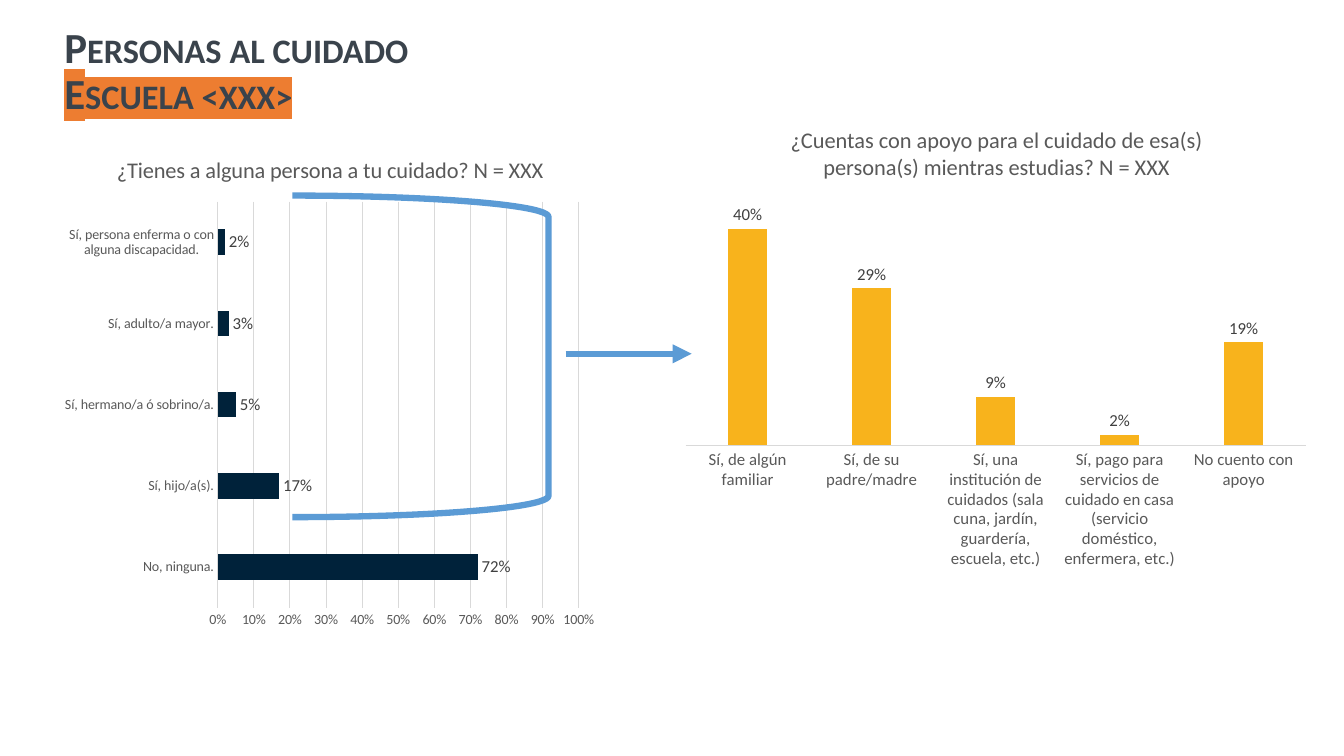
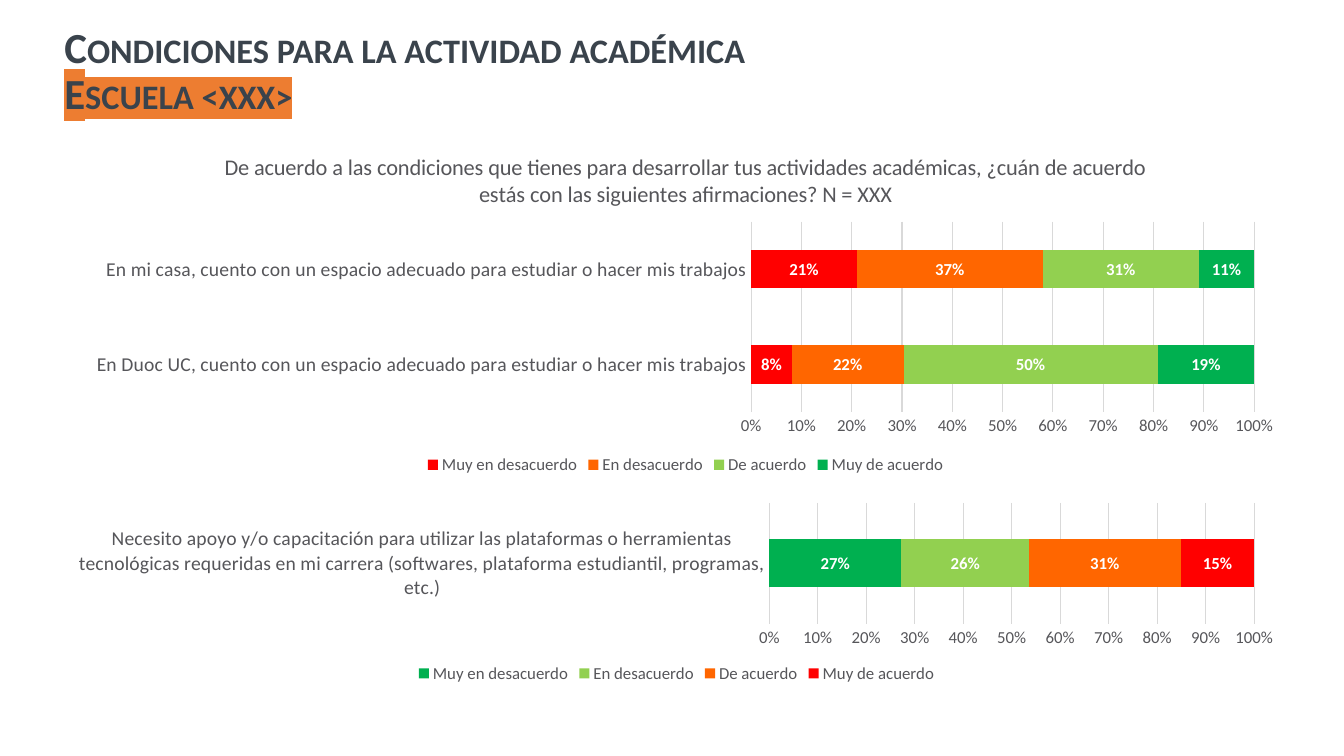
from lxml.etree import SubElement
from pptx import Presentation
from pptx.chart.data import CategoryChartData
from pptx.dml.color import RGBColor
from pptx.enum.chart import XL_CHART_TYPE as ChartType, XL_LABEL_POSITION as LabelPos
from pptx.enum.chart import XL_LEGEND_POSITION as LegendPos, XL_TICK_MARK as TickMark
from pptx.enum.shapes import MSO_CONNECTOR as Connector, MSO_SHAPE as Preset
from pptx.enum.text import MSO_ANCHOR as Anchor, PP_ALIGN as Align
from pptx.oxml.ns import qn
from pptx.util import Inches, Pt

FONT = "Calibri"
INK, GREY, SLATE, LABEL = "3A434C", "595959", "56565A", "404040"
GRID, BLUE, HIGHLIGHT, WHITE = "D9D9D9", "5B9BD5", "ED7D31", "FFFFFF"
NAVY, YELLOW = "00223A", "F8B31C"
RED, ORANGE, LIME, GREEN = "FF0000", "FF6600", "92D050", "00B050"

SCHOOL = "Escuela <xxx>"
SUPPORT_QUESTION = "¿Cuentas con apoyo para el cuidado de esa(s) persona(s) mientras estudias? N = XXX"
AGREEMENT = ["Muy en desacuerdo", "En desacuerdo", "De acuerdo", "Muy de acuerdo"]

SUPPORT = dict(
    kind=ChartType.COLUMN_CLUSTERED, at=(6.67, 1.94, 6.42, 3.79), plot=(6.8, 2, 6.15, 2.42),
    categories=["Sí, de algún familiar", "Sí, de su padre/madre",
                "Sí, una institución de cuidados (sala cuna, jardín, guardería, escuela, etc.)",
                "Sí, pago para servicios de cuidado en casa (servicio doméstico, enfermera, etc.)",
                "No cuento con apoyo"],
    series=[("Series 1", [0.4, 0.29, 0.09, 0.02, 0.19], YELLOW)],
    gap=219, overlap=-27, maximum=0.45, value_axis=False, category_size=12)
CARE = dict(
    kind=ChartType.BAR_CLUSTERED, at=(0.54, 1.34, 5.47, 4.98), plot=(2.16, 2, 3.58, 4.03),
    title="¿Tienes a alguna persona a tu cuidado? N = XXX",
    categories=["No, ninguna.", "Sí, hijo/a(s).", "Sí, hermano/a ó sobrino/a.",
                "Sí, adulto/a mayor.", "Sí, persona enferma o con alguna discapacidad."],
    series=[("Series 1", [0.72, 0.17, 0.05, 0.03, 0.02], NAVY)],
    gap=219, category_size=10, value_size=10)
STACKED = dict(kind=ChartType.BAR_STACKED_100, gap=150, overlap=100, category_size=14,
               color=SLATE, label_color=WHITE, label_bold=True, label_pos=LabelPos.CENTER, legend=True)
SPACE = dict(
    STACKED, at=(0.72, 1.34, 12.16, 3.41), plot=(7.45, 2.2, 4.99, 1.89),
    title="De acuerdo a las condiciones que tienes para desarrollar tus actividades académicas, "
          "¿cuán de acuerdo estás con las siguientes afirmaciones? N = XXX",
    categories=["En Duoc UC, cuento con un espacio adecuado para estudiar o hacer mis trabajos",
                "En mi casa, cuento con un espacio adecuado para estudiar o hacer mis trabajos"],
    series=list(zip(AGREEMENT, [[0.08, 0.21], [0.22, 0.37], [0.5, 0.31], [0.19, 0.11]],
                    [RED, ORANGE, LIME, GREEN])))
TRAINING = dict(
    STACKED, at=(0.54, 4.96, 12.34, 1.86), plot=(7.63, 4.99, 4.81, 1.2),
    categories=["Necesito apoyo y/o capacitación para utilizar las plataformas o herramientas tecnológicas "
                "requeridas en mi carrera (softwares, plataforma estudiantil, programas, etc.)"],
    series=list(zip(AGREEMENT, [[0.27], [0.26], [0.31], [0.15]], [GREEN, LIME, ORANGE, RED])))


def rgb(value):
    return RGBColor.from_string(value)


def inches(values):
    return [Inches(value) for value in values]


def style_font(font, size, color, bold=False):
    font.size, font.bold = Pt(size), bold
    font.color.rgb = rgb(color)
    font.name = FONT


def style_line(line, color, width):
    line.color.rgb = rgb(color)
    line.width = Pt(width)


def add_text(page, at):
    box = page.shapes.add_textbox(*inches(at))
    box.text_frame.word_wrap = True
    return box.text_frame


def add_title(page, heading):
    frame = add_text(page, (0.54, 0.25, 12.73, 0.94))
    frame.vertical_anchor = Anchor.MIDDLE
    para = frame.paragraphs[0]
    para.line_spacing = 0.9
    for text in (heading, SCHOOL):
        if text == SCHOOL:
            para.add_line_break()
        span = para.add_run()
        span.text = text
        style_font(span.font, 30.6, INK, True)
        props = span.font.color and span._r.get_or_add_rPr()
        props.set("cap", "small")
        if text == SCHOOL:
            mark = SubElement(props, qn("a:highlight"))
            SubElement(mark, qn("a:srgbClr"), val=HIGHLIGHT)
            props.find(qn("a:solidFill")).addnext(mark)


def place_plot(chart, at, plot):
    area = chart.element.find(qn("c:chart")).find(qn("c:plotArea"))
    for old in area.findall(qn("c:layout")):
        area.remove(old)
    layout = SubElement(area, qn("c:layout"))
    area.insert(0, layout)
    manual = SubElement(layout, qn("c:manualLayout"))
    left, top, width, height = at
    settings = [("layoutTarget", "inner"), ("xMode", "edge"), ("yMode", "edge"),
                ("x", (plot[0] - left) / width), ("y", (plot[1] - top) / height),
                ("w", plot[2] / width), ("h", plot[3] / height)]
    for tag, value in settings:
        SubElement(manual, qn(f"c:{tag}"), val=str(value))


def add_chart(page, kind, at, plot, categories, series, gap, category_size, overlap=0, title=None,
              maximum=1, value_axis=True, value_size=12, color=GREY, label_color=LABEL,
              label_bold=False, label_pos=LabelPos.OUTSIDE_END, legend=False):
    data = CategoryChartData(number_format="0%")
    data.categories = categories
    for name, values, _ in series:
        data.add_series(name, values)
    chart = page.shapes.add_chart(kind, *inches(at), data).chart
    style_font(chart.font, 12, color)
    place_plot(chart, at, plot)

    chart.has_title = title is not None
    if title:
        para = chart.chart_title.text_frame.paragraphs[0]
        para.text = title
        style_font(para.font, 16, color)
    chart.has_legend = legend
    if legend:
        chart.legend.position = LegendPos.BOTTOM
        chart.legend.include_in_layout = False
        style_font(chart.legend.font, 12, color)

    bars = chart.plots[0]
    bars.gap_width, bars.overlap, bars.vary_by_categories = gap, overlap, False
    for item, (_, _, fill) in zip(bars.series, series):
        item.format.fill.solid()
        item.format.fill.fore_color.rgb = rgb(fill)
        labels = item.data_labels
        labels.show_value, labels.position = True, label_pos
        labels.number_format, labels.number_format_is_linked = "0%", False
        style_font(labels.font, 12, label_color, label_bold)

    names, scale = chart.category_axis, chart.value_axis
    for axis, size in ((names, category_size), (scale, value_size)):
        axis.major_tick_mark = axis.minor_tick_mark = TickMark.NONE
        style_font(axis.tick_labels.font, size, color)
    style_line(names.format.line, GRID, 0.75)
    scale.minimum_scale, scale.maximum_scale = 0, maximum
    scale.visible = scale.has_major_gridlines = value_axis
    if value_axis:
        scale.major_unit = 0.1
        scale.format.line.fill.background()
        scale.tick_labels.number_format = "0%"
        scale.tick_labels.number_format_is_linked = False
        style_line(scale.major_gridlines.format.line, GRID, 0.75)


def add_bracket_and_arrow(page):
    bracket = page.shapes.add_shape(Preset.RIGHT_BRACKET, *inches((2.9, 1.94, 2.54, 3.19)))
    bracket.adjustments[0] = 0.083
    bracket.shadow.inherit = False
    bracket.fill.background()
    style_line(bracket.line, BLUE, 4.5)
    arrow = page.shapes.add_connector(Connector.STRAIGHT, *inches((5.61, 3.51, 6.86, 3.51)))
    style_line(arrow.line, BLUE, 4.5)
    props = arrow.element.spPr
    SubElement(props.find(qn("a:ln")), qn("a:tailEnd"), type="triangle")
    SubElement(props, qn("a:effectLst"))


def main():
    deck = Presentation()
    deck.slide_width, deck.slide_height = Inches(13.33), Inches(7.5)
    blank = deck.slide_layouts[6]

    page = deck.slides.add_slide(blank)
    add_title(page, "Personas al cuidado")
    add_chart(page, **SUPPORT)
    add_chart(page, **CARE)
    add_bracket_and_arrow(page)
    para = add_text(page, (7.72, 1.2, 4.33, 0.64)).paragraphs[0]
    para.text = SUPPORT_QUESTION
    para.alignment = Align.CENTER
    style_font(para.font, 16, GREY)

    page = deck.slides.add_slide(blank)
    add_title(page, "Condiciones para la actividad académica")
    add_chart(page, **SPACE)
    add_chart(page, **TRAINING)

    deck.save("out.pptx")


if __name__ == "__main__":
    main()
